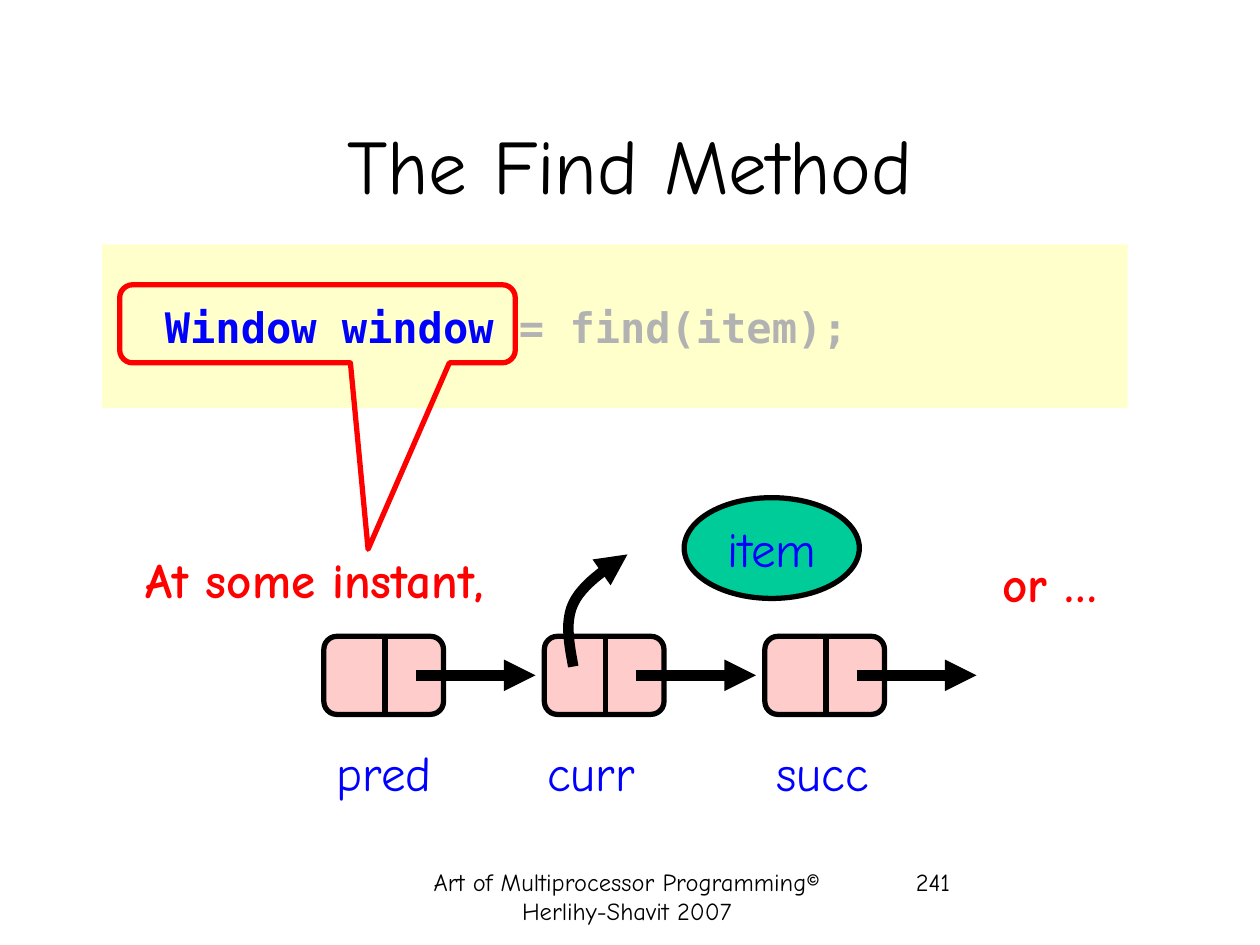
from lxml import etree
from pptx import Presentation
from pptx.dml.color import RGBColor
from pptx.enum.shapes import MSO_CONNECTOR, MSO_SHAPE
from pptx.enum.text import MSO_ANCHOR, PP_ALIGN
from pptx.oxml.ns import qn
from pptx.util import Inches, Pt

CENTER, LEFT = PP_ALIGN.CENTER, PP_ALIGN.LEFT
TOP, MIDDLE = MSO_ANCHOR.TOP, MSO_ANCHOR.MIDDLE
RECTANGLE, OVAL = MSO_SHAPE.RECTANGLE, MSO_SHAPE.OVAL
ROUNDED = MSO_SHAPE.ROUNDED_RECTANGLE
CALLOUT = MSO_SHAPE.ROUNDED_RECTANGULAR_CALLOUT
STRAIGHT = MSO_CONNECTOR.STRAIGHT

BLACK, BLUE, RED, GRAY = "000000", "0000FF", "FF0000", "B2B2B2"
CREAM, PINK, GREEN = "FFFFCC", "FFCCCC", "00CC99"


def color(value):
    return RGBColor.from_string(value)


class SlideBuilder:
    text_font = "Comic Neue"
    code_font = "DejaVu Sans Mono"
    outline, arrow_width = 3, 6

    def __init__(self, slide):
        self.slide = slide

    def style_line(self, shape, line_color, width, arrow=False):
        shape.line.color.rgb = color(line_color)
        shape.line.width = Pt(width)
        if arrow:
            line = shape.line._get_or_add_ln()
            etree.SubElement(line, qn("a:tailEnd"), type="triangle")

    def fill_text(self, shape, runs, size, font=None, bold=False, align=CENTER,
                  anchor=TOP, wrap=True):
        """Fill a shape with one paragraph made of (text, colour) runs."""
        frame = shape.text_frame
        frame.word_wrap = wrap
        frame.vertical_anchor = anchor
        paragraph = frame.paragraphs[0]
        paragraph.alignment = align
        paragraph.font.name = font or self.text_font
        paragraph.font.size = Pt(size)
        paragraph.font.bold = bold
        for text, text_color in runs:
            run = paragraph.add_run()
            run.text = text
            run.font.color.rgb = color(text_color)

    def text(self, left, top, width, height, text, size, text_color=BLACK, **style):
        box = self.slide.shapes.add_textbox(
            Inches(left), Inches(top), Inches(width), Inches(height))
        self.fill_text(box, [(text, text_color)], size, **style)

    def shape(self, kind, left, top, width, height, fill=None, line=None,
              adjustments=(), parent=None):
        shapes = (parent or self.slide).shapes
        shape = shapes.add_shape(
            kind, Inches(left), Inches(top), Inches(width), Inches(height))
        shape.shadow.inherit = False
        for index, value in enumerate(adjustments):
            shape.adjustments[index] = value
        if fill:
            shape.fill.solid()
            shape.fill.fore_color.rgb = color(fill)
        else:
            shape.fill.background()
        if line:
            self.style_line(shape, line, self.outline)
        else:
            shape.line.fill.background()
        return shape

    def line(self, start, end, width, arrow=False, parent=None):
        connector = (parent or self.slide).shapes.add_connector(
            STRAIGHT, *(Inches(value) for value in (*start, *end)))
        self.style_line(connector, BLACK, width, arrow)
        etree.SubElement(connector._element.spPr, qn("a:effectLst"))

    def curved_arrow(self, segments, steps=12):
        """Draw an open arrow through joined cubic Bezier segments."""
        points = [segments[0][0]]
        for segment in segments:
            for step in range(1, steps + 1):
                t = step / steps
                weights = ((1 - t) ** 3, 3 * t * (1 - t) ** 2, 3 * t * t * (1 - t), t ** 3)
                points.append(tuple(
                    sum(weight * point[axis] for weight, point in zip(weights, segment))
                    for axis in (0, 1)))
        points = [(Inches(x), Inches(y)) for x, y in points]
        builder = self.slide.shapes.build_freeform(*points[0])
        builder.add_line_segments(points[1:], close=False)
        curve = builder.convert_to_shape()
        curve.shadow.inherit = False
        curve.fill.background()
        self.style_line(curve, BLACK, self.arrow_width, arrow=True)

    def list_node(self, left, top, width=0.95, height=0.62):
        """Draw a two-cell node and the arrow to its successor."""
        group = self.slide.shapes.add_group_shape()
        self.shape(ROUNDED, left, top, width, height, PINK, BLACK, [0.167], group)
        middle = left + width / 2 + 0.01
        self.line((middle, top), (middle, top + height), self.outline, parent=group)
        start, level = left + 0.73, top + height / 2
        self.line((start, level), (start + 0.95, level), self.arrow_width, arrow=True)


def main():
    presentation = Presentation()
    presentation.slide_width, presentation.slide_height = Inches(10), Inches(7.5)
    builder = SlideBuilder(presentation.slides.add_slide(presentation.slide_layouts[6]))

    builder.text(3.1, 6.83, 3.75, 0.5,
                 "Art of Multiprocessor Programming© Herlihy-Shavit 2007", 14)
    builder.text(7.17, 6.83, 2.08, 0.5, "241", 14, align=LEFT)
    builder.text(0.75, 0.67, 8.5, 1.25, "The Find Method", 44, anchor=MIDDLE)

    code = builder.shape(RECTANGLE, 0.81, 1.94, 8.14, 1.3, CREAM)
    builder.fill_text(code, [("  Window window ", BLUE), ("= find(item);", GRAY)], 24,
                      font=builder.code_font, bold=True, align=LEFT, anchor=MIDDLE)
    builder.shape(CALLOUT, 0.95, 2.26, 3.14, 0.62, line=RED,
                  adjustments=[0.128, 2.886, 0.167])
    builder.text(0.43, 4.31, 4.27, 0.57, "At some instant, ", 28, RED, bold=True)

    for index, (name, label_center) in enumerate(
            [("pred", 3.05), ("curr", 4.69), ("succ", 6.53)]):
        builder.list_node(2.57 + 1.75 * index, 5.05)
        builder.text(label_center - 0.5, 5.84, 1, 0.57, name, 28, BLUE, wrap=False)

    item = builder.shape(OVAL, 5.43, 3.95, 1.39, 0.8, GREEN, BLACK)
    builder.fill_text(item, [("item", BLUE)], 28, anchor=MIDDLE, wrap=False)
    builder.curved_arrow([
        [(4.55, 5.29), (4.52, 5.12), (4.48, 4.94), (4.55, 4.79)],
        [(4.55, 4.79), (4.62, 4.64), (4.8, 4.52), (4.98, 4.4)],
    ])
    builder.text(7.47, 4.34, 1.72, 0.57, "or …", 28, RED, bold=True)

    presentation.save("out.pptx")


if __name__ == "__main__":
    main()
